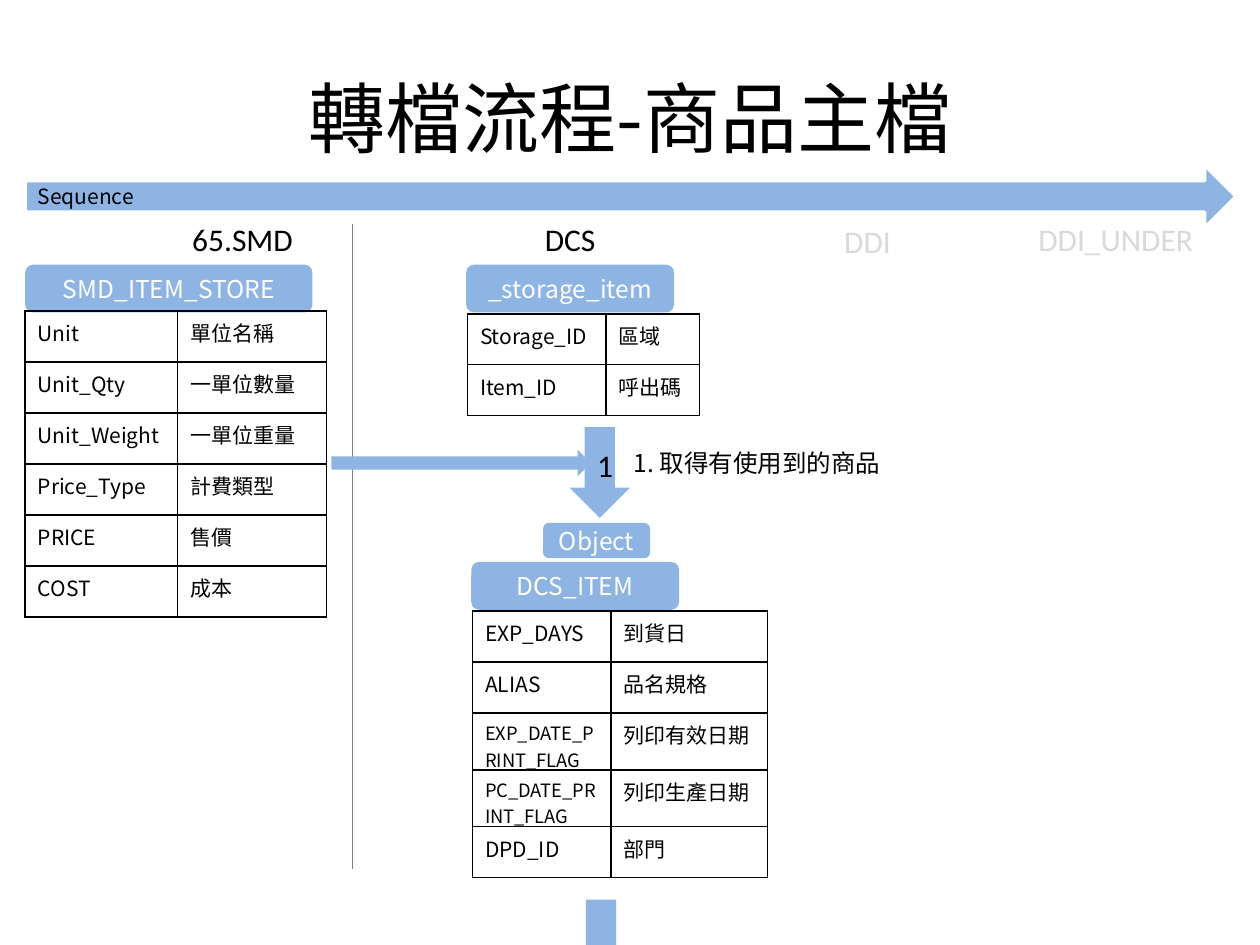
from dataclasses import dataclass

from lxml import etree
from pptx import Presentation
from pptx.dml.color import RGBColor
from pptx.enum import shapes, text
from pptx.oxml import ns
from pptx.util import Inches, Pt

BLUE = RGBColor(0x8E, 0xB4, 0xE3)
BLACK = RGBColor(0, 0, 0)
WHITE = RGBColor(0xFF, 0xFF, 0xFF)
GRAY = RGBColor(0x80, 0x80, 0x80)
PALE = RGBColor(0xD9, 0xD9, 0xD9)
CJK = "Noto Sans CJK SC"
LATIN = "Calibri"
ROW_HEIGHT = Inches(0.81) // 2
LEFT, CENTER = text.PP_ALIGN.LEFT, text.PP_ALIGN.CENTER
KIND = shapes.MSO_SHAPE


@dataclass
class Block:
    kind: KIND
    left: float
    top: float
    width: float
    height: float
    label: str = ""
    size: float = 14
    font: str = CJK
    color: RGBColor = WHITE
    align: text.PP_ALIGN = CENTER


@dataclass
class Caption:
    label: str
    left: float
    top: float
    width: float = 1.89
    height: float = 0.4
    size: float = 18
    font: str = LATIN
    color: RGBColor = BLACK
    align: text.PP_ALIGN = CENTER


@dataclass
class FieldTable:
    left: float
    top: float
    widths: tuple[float, float]
    rows: list[tuple[str, str]]


BLOCKS = [
    Block(KIND.RIGHT_ARROW, 0.2, 1.31, 9.61, 0.5, "Sequence", 12, CJK, BLACK, LEFT),
    Block(KIND.ROUNDED_RECTANGLE, 0.2, 2.1, 2.28, 0.38, "SMD_ITEM_STORE"),
    Block(KIND.ROUNDED_RECTANGLE, 3.7, 2.1, 1.65, 0.38, "_storage_item"),
    Block(KIND.ROUNDED_RECTANGLE, 3.74, 4.46, 1.65, 0.38, "DCS_ITEM"),
    Block(KIND.DOWN_ARROW, 4.52, 3.39, 0.48, 0.72, "1", 18, LATIN, BLACK),
    Block(KIND.RIGHT_ARROW, 2.63, 3.57, 2.06, 0.21),
    Block(KIND.ROUNDED_RECTANGLE, 4.31, 4.15, 0.85, 0.28, "Object"),
    Block(KIND.DOWN_ARROW, 4.53, 7.14, 0.48, 0.72),
]
CAPTIONS = [
    Caption("65.SMD", 0.98, 1.7),
    Caption("DCS", 3.58, 1.7),
    Caption("DDI", 5.94, 1.71, color=PALE),
    Caption("DDI_UNDER", 7.91, 1.7, color=PALE),
    Caption("1. 取得有使用到的商品", 4.93, 3.51, 3.14, 0.34, 14, CJK, align=LEFT),
]
TABLES = [
    FieldTable(3.71, 2.49, (1.1, 0.74), [("Storage_ID", "區域"), ("Item_ID", "呼出碼")]),
    FieldTable(0.2, 2.47, (1.21, 1.18), [
        ("Unit", "單位名稱"), ("Unit_Qty", "一單位數量"), ("Unit_Weight", "一單位重量"),
        ("Price_Type", "計費類型"), ("PRICE", "售價"), ("COST", "成本")]),
    FieldTable(3.75, 4.85, (1.1, 1.24), [
        ("EXP_DAYS", "到貨日"), ("ALIAS", "品名規格"),
        ("EXP_DATE_PRINT_FLAG", "列印有效日期"),
        ("PC_DATE_PRINT_FLAG", "列印生產日期"), ("DPD_ID", "部門")]),
]


def write(frame, label: str, size: float, font: str, color: RGBColor,
          align: text.PP_ALIGN) -> None:
    frame.text = label
    paragraph = frame.paragraphs[0]
    paragraph.alignment = align
    for run in paragraph.runs:
        run.font.size = Pt(size)
        run.font.name = font
        run.font.color.rgb = color
        east_asian = etree.SubElement(run.font._element, ns.qn("a:ea"))
        east_asian.set("typeface", CJK)


def add_block(slide, block: Block) -> None:
    shape = slide.shapes.add_shape(block.kind, Inches(block.left), Inches(block.top),
                                   Inches(block.width), Inches(block.height))
    shape.shadow.inherit = False
    shape.fill.solid()
    shape.fill.fore_color.rgb = BLUE
    if block.label == "Sequence":
        shape.line.color.rgb = WHITE
        shape.line.width = Pt(2)
    else:
        shape.line.fill.background()
    if block.label:
        shape.text_frame.vertical_anchor = text.MSO_ANCHOR.MIDDLE
        write(shape.text_frame, block.label, block.size, block.font, block.color, block.align)


def add_caption(slide, caption: Caption) -> None:
    box = slide.shapes.add_textbox(Inches(caption.left), Inches(caption.top),
                                   Inches(caption.width), Inches(caption.height))
    box.text_frame.word_wrap = True
    box.text_frame.auto_size = text.MSO_AUTO_SIZE.SHAPE_TO_FIT_TEXT
    write(box.text_frame, caption.label, caption.size, caption.font, caption.color,
          caption.align)


def add_borders(cell) -> None:
    properties = cell._tc.get_or_add_tcPr()
    for index, side in enumerate(("lnL", "lnR", "lnT", "lnB")):
        line = etree.Element(ns.qn(f"a:{side}"), w=str(Pt(1)))
        fill = etree.SubElement(line, ns.qn("a:solidFill"))
        etree.SubElement(fill, ns.qn("a:srgbClr"), val=str(BLACK))
        properties.insert(index, line)


def add_field_table(slide, fields: FieldTable) -> None:
    count = len(fields.rows)
    table = slide.shapes.add_table(count, 2, Inches(fields.left), Inches(fields.top),
                                   Inches(sum(fields.widths)), ROW_HEIGHT * count).table
    table.first_row = table.horz_banding = False
    for column, width in zip(table.columns, fields.widths):
        column.width = Inches(width)
    for row, labels in enumerate(fields.rows):
        for column, label in enumerate(labels):
            cell = table.cell(row, column)
            cell.fill.background()
            size = 10.5 if label.endswith("PRINT_FLAG") else 12
            write(cell.text_frame, label, size, CJK, BLACK, LEFT)
            add_borders(cell)


presentation = Presentation()
presentation.slide_width, presentation.slide_height = Inches(10), Inches(7.5)
slide = presentation.slides.add_slide(presentation.slide_layouts[5])

# Title
title = slide.shapes.title
title.left, title.top = Inches(0.5), Inches(0.3)
title.width, title.height = Inches(9), Inches(1.25)
title.text_frame.vertical_anchor = text.MSO_ANCHOR.MIDDLE
write(title.text_frame, "轉檔流程-商品主檔", 44, CJK, BLACK, CENTER)

# Divider between source and target systems
divider = slide.shapes.add_connector(shapes.MSO_CONNECTOR.STRAIGHT, Inches(2.8),
                                     Inches(1.78), Inches(2.8), Inches(6.9))
divider.line.color.rgb = GRAY
divider.line.width = Pt(0.75)
etree.SubElement(divider._element.spPr, ns.qn("a:effectLst"))

# Flow blocks, captions and field tables
for block in BLOCKS:
    add_block(slide, block)
for caption in CAPTIONS:
    add_caption(slide, caption)
for fields in TABLES:
    add_field_table(slide, fields)

presentation.save("out.pptx")
